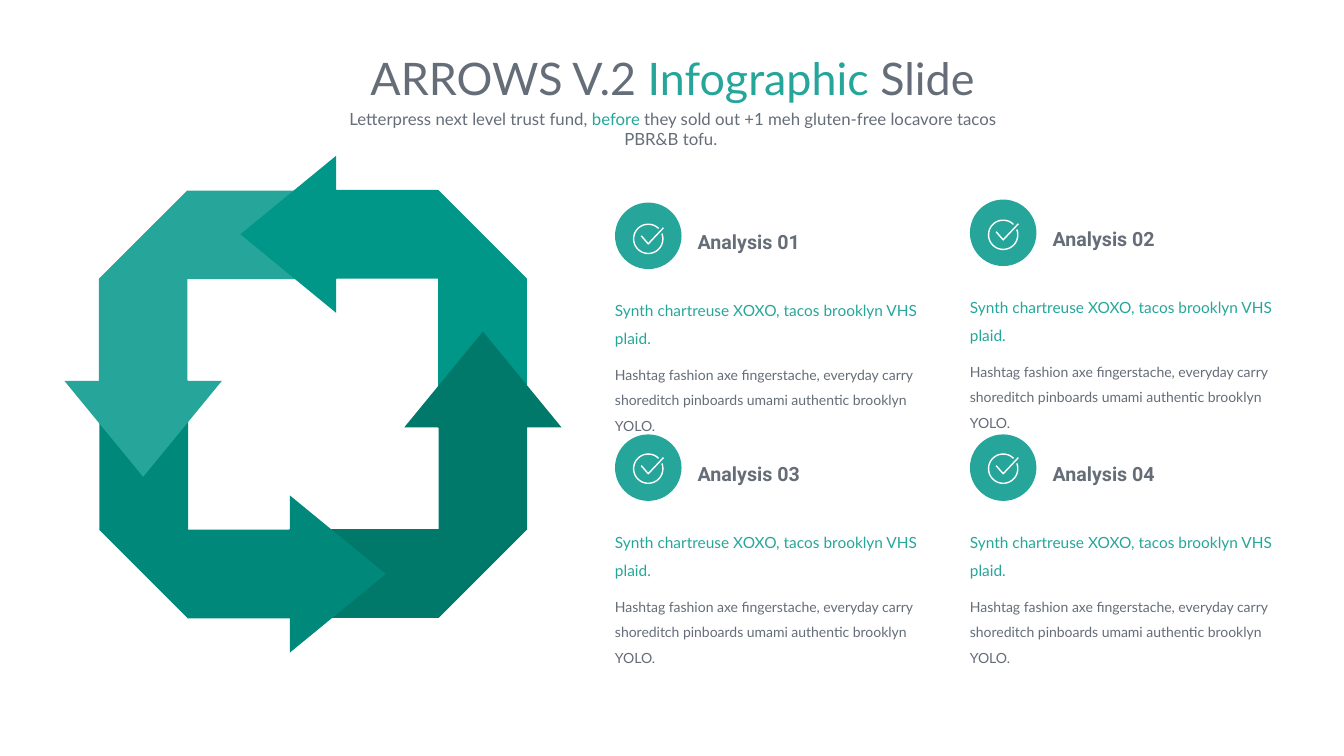
from dataclasses import dataclass
from math import cos, radians, sin

from pptx import Presentation
from pptx.dml.color import RGBColor as Rgb
from pptx.enum.shapes import MSO_SHAPE as Shape
from pptx.enum.text import MSO_ANCHOR as Anchor
from pptx.enum.text import MSO_AUTO_SIZE as Fit
from pptx.enum.text import PP_ALIGN as Align
from pptx.util import Inches, Pt

Point = tuple[float, float]
Run = tuple[str, str]


@dataclass(frozen=True)
class Theme:
    grey: str = "656D78"
    teal: str = "26A69A"
    white: str = "FFFFFF"
    ring: tuple[str, ...] = ("26A69A", "00897B", "00796B", "009688")
    font: str = "Lato"
    bold: str = "Roboto"
    title: float = 32
    sub: float = 12
    head: float = 14
    lead: float = 11
    body: float = 10


@dataclass(frozen=True)
class Para:
    runs: tuple[Run, ...]
    size: float
    before: float = 0


@dataclass(frozen=True)
class Card:
    name: str
    left: float
    top: float
    drop: float  # how far the tick sits below the middle of its disc


THEME = Theme()
DISC = 0.66
HUB: Point = (3.105, 4.01)
BAND: list[Point] = [(0.98, 2.77), (3.34, 2.77), (3.34, 1.89), (1.86, 1.89)]
HEAD: list[Point] = [(1.86, 1.89), (0.98, 2.77), (0.98, 3.78), (0.64, 3.78),
                     (1.42, 4.73), (2.2, 3.78), (1.86, 3.78)]
TICK: list[Point] = [(-0.07, -0.03), (0, 0.05), (0.15, -0.11)]
ARC: list[Point] = [(0.145 * cos(radians(a)), -0.145 * sin(radians(a)))
                    for a in range(45, 383, 6)]
CARDS = [
    Card("Analysis 01", 6.1, 2.01, 0.03),
    Card("Analysis 02", 9.62, 1.98, 0.02),
    Card("Analysis 03", 6.1, 4.31, 0.01),
    Card("Analysis 04", 9.62, 4.31, 0.01),
]
LEAD = "Synth chartreuse XOXO, tacos brooklyn VHS plaid."
BODY = ("Hashtag fashion axe fingerstache, everyday carry shoreditch "
        "pinboards umami authentic brooklyn YOLO.")

deck = Presentation()
deck.slide_width, deck.slide_height = Inches(13.33), Inches(7.5)
slide = deck.slides.add_slide(deck.slide_layouts[6])


def write(left: float, top: float, width: float, height: float,
          paras: list[Para], *, font: str = THEME.font, bold: bool = False,
          align: Align = Align.LEFT, anchor: Anchor = Anchor.TOP,
          space: float = 1, inset: bool = False, grow: bool = True) -> None:
    box = slide.shapes.add_textbox(Inches(left), Inches(top),
                                   Inches(width), Inches(height))
    frame = box.text_frame
    frame.word_wrap = True
    frame.auto_size = Fit.SHAPE_TO_FIT_TEXT if grow else Fit.NONE
    frame.vertical_anchor = anchor
    if not inset:
        frame.margin_left = frame.margin_right = 0
        frame.margin_top = frame.margin_bottom = 0
    for i, para in enumerate(paras):
        line = frame.add_paragraph() if i else frame.paragraphs[0]
        line.alignment = align
        line.line_spacing = space
        if para.before:
            line.space_before = Pt(para.before)
        for text, tint in para.runs:
            run = line.add_run()
            run.text = text
            run.font.name = font
            run.font.size = Pt(para.size)
            run.font.bold = bold
            run.font.color.rgb = Rgb.from_string(tint)


def trace(dots: list[Point], tint: str, closed: bool = True) -> None:
    """Draw a filled outline, or a thin stroke when it is not closed."""
    spots = [(Inches(x), Inches(y)) for x, y in dots]
    pen = slide.shapes.build_freeform(*spots[0])
    pen.add_line_segments(spots[1:], close=closed)
    shape = pen.convert_to_shape()
    shape.shadow.inherit = False
    if closed:
        shape.fill.solid()
        shape.fill.fore_color.rgb = Rgb.from_string(tint)
        shape.line.fill.background()
    else:
        shape.fill.background()
        shape.line.color.rgb = Rgb.from_string(tint)
        shape.line.width = Pt(1)


def turn(dots: list[Point], count: int) -> list[Point]:
    """Turn points about the hub by quarter turns, anticlockwise."""
    for _ in range(count):
        dots = [(HUB[0] + y - HUB[1], HUB[1] - x + HUB[0]) for x, y in dots]
    return dots


def draw_card(card: Card) -> None:
    disc = slide.shapes.add_shape(Shape.ROUNDED_RECTANGLE, Inches(card.left),
                                  Inches(card.top), Inches(DISC), Inches(DISC))
    disc.adjustments[0] = 0.5
    disc.shadow.inherit = False
    disc.fill.solid()
    disc.fill.fore_color.rgb = Rgb.from_string(THEME.teal)
    disc.line.fill.background()
    write(card.left + 0.82, card.top + 0.21, 1.93, 0.28,
          [Para(((card.name, THEME.grey),), THEME.head)],
          font=THEME.bold, bold=True, anchor=Anchor.MIDDLE, space=1.3)
    write(card.left, card.top + 0.89, 3.1, 0.87,
          [Para(((LEAD, THEME.teal),), THEME.lead),
           Para(((BODY, THEME.grey),), THEME.body, 7.5)],
          space=1.5, grow=False)
    mid_x = card.left + DISC / 2
    mid_y = card.top + DISC / 2 + card.drop
    for part in (ARC, TICK):
        trace([(mid_x + x, mid_y + y) for x, y in part], THEME.white, False)


def main() -> None:
    write(2.54, 0.45, 8.26, 0.64,
          [Para((("ARROWS V.2 ", THEME.grey), ("Infographic ", THEME.teal),
                 ("Slide", THEME.grey)), THEME.title)],
          align=Align.CENTER, inset=True)
    write(3.2, 1.03, 6.95, 0.3,
          [Para((("Letterpress next level trust fund, ", THEME.grey),
                 ("before", THEME.teal),
                 (" they sold out +1 meh gluten-free locavore tacos "
                  "PBR&B tofu. ", THEME.grey)), THEME.sub)],
          align=Align.CENTER, inset=True)
    for part in (BAND, HEAD):
        for count, tint in enumerate(THEME.ring):
            trace(turn(part, count), tint)
    for card in CARDS:
        draw_card(card)
    deck.save("out.pptx")


if __name__ == "__main__":
    main()
